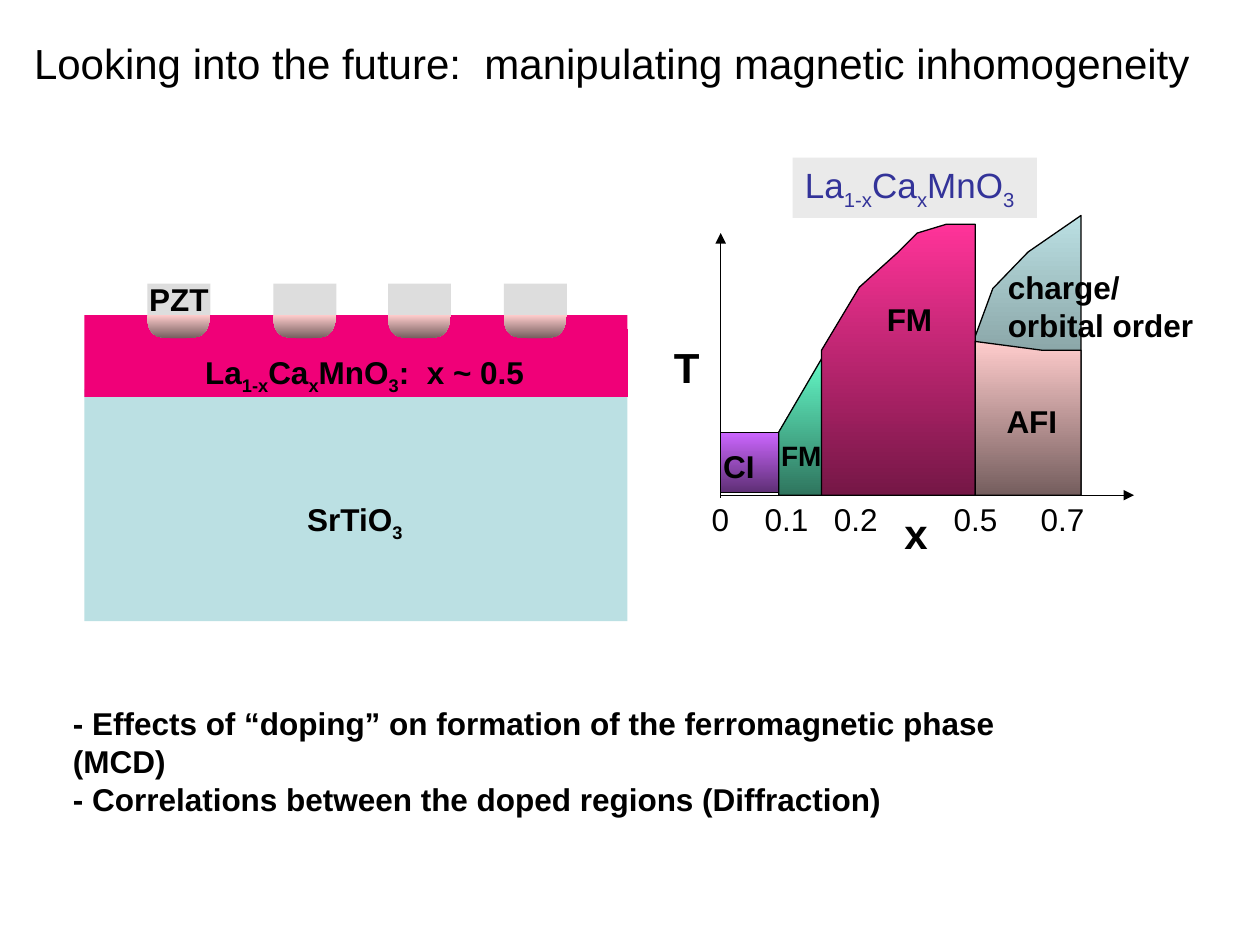
from lxml import etree
from pptx import Presentation
from pptx.dml.color import RGBColor
from pptx.enum.shapes import MSO_CONNECTOR, MSO_SHAPE
from pptx.enum.text import MSO_ANCHOR, PP_ALIGN
from pptx.oxml.ns import qn
from pptx.util import Inches, Pt

STRAIGHT = MSO_CONNECTOR.STRAIGHT
RECTANGLE = MSO_SHAPE.RECTANGLE
TOP, MIDDLE = MSO_ANCHOR.TOP, MSO_ANCHOR.MIDDLE
LEFT, CENTER = PP_ALIGN.LEFT, PP_ALIGN.CENTER

COLORS = {
    "black": "000000", "formula": "333399", "formula_box": "EAEAEA",
    "substrate": "BBE0E3", "film": "F00078", "electrode": "DDDDDD",
}
GRADIENTS = {
    "CI": ("CC66FF", "5E2F75"), "FMI": ("66FFCC", "2F755E"),
    "order": ("BBE0E3", "566768"), "FM": ("FF3399", "751746"),
    "AFI": ("FFCCCC", "755E5E"),
}

TITLE = "Looking into the future:  manipulating magnetic inhomogeneity"
BASE = 3.93
REGIONS = [
    ("FMI", [(6.18, BASE), (6.56, BASE), (6.56, 2.78), (6.18, 3.43)],
     ["FMI"], (6.1, 3.43, 0.58, 0.37), 16),
    ("order", [(7.74, BASE), (7.74, 2.67), (7.88, 2.29), (8.16, 2),
               (8.58, 1.71), (8.58, BASE)],
     ["charge/", "orbital order"], (7.9, 2.08, 1.67, 0.7), 18),
    ("FM", [(6.52, BASE), (6.52, 2.78), (6.82, 2.28), (7.13, 2), (7.28, 1.85),
            (7.51, 1.78), (7.74, 1.78), (7.74, BASE)],
     ["FM"], (6.94, 2.33, 0.56, 0.4), 18),
    ("AFI", [(7.74, BASE), (7.74, 2.71), (8.27, 2.78), (8.58, 2.78), (8.58, BASE)],
     ["AFI"], (7.89, 3.14, 0.6, 0.4), 18),
]
AXES = [((5.72, 3.95), (5.72, 1.85)), ((5.72, BASE), (9, BASE))]
TICKS = [("0", 5.55, 0.34), ("0.1", 5.97, 0.55), ("0.2", 6.52, 0.55),
         ("0.5", 7.47, 0.55), ("0.7", 8.16, 0.55)]
AXIS_NAMES = [("x", (7.08, 3.98, 0.38, 0.5)), ("T", (5.25, 2.66, 0.4, 0.5))]
LAYERS = [("substrate", (0.67, 3.09, 4.31, 1.84)), ("film", (0.67, 2.5, 4.31, 0.65))]
LAYER_NAMES = [("La_1-x_Ca_x_MnO_3_:  x ~ 0.5", (1.53, 2.75, 2.73, 0.44)),
               ("SrTiO_3_", (2.34, 3.92, 0.96, 0.44))]
ELECTRODES = [(1.17, "PZT"), (2.17, ""), (3.08, ""), (4, "")]
DOPED_START = (0, 0)
DOPED_CURVES = [
    [(0, 0.07), (0.01, 0.14), (0.08, 0.17)],
    [(0.15, 0.19), (0.34, 0.19), (0.41, 0.17)],
    [(0.48, 0.14), (0.49, 0.07), (0.5, 0)],
]
GOALS = ["- Effects of “doping” on formation of the ferromagnetic phase (MCD)",
         "- Correlations between the doped regions (Diffraction)"]


def apply(target, values):
    for name, value in values.items():
        setattr(target, name, value)


def rgb(name):
    return RGBColor.from_string(COLORS[name])


def write(shape, lines, size, bold=True, color="black", align=LEFT, anchor=TOP, wrap=False):
    frame = shape.text_frame
    apply(frame, {"word_wrap": wrap, "vertical_anchor": anchor,
                  "margin_left": Inches(0.1), "margin_right": Inches(0.1),
                  "margin_top": Inches(0.05), "margin_bottom": Inches(0.05)})
    for index, line in enumerate(lines):
        paragraph = frame.add_paragraph() if index else frame.paragraphs[0]
        paragraph.alignment = align
        for part, words in enumerate(line.split("_")):
            if words:
                run = paragraph.add_run()
                run.text = words
                apply(run.font, {"name": "Arial", "size": Pt(size), "bold": bold})
                run.font.color.rgb = rgb(color)
                if part % 2:
                    run.font._element.set("baseline", "-25000")


def label(slide, lines, box, size, **style):
    write(slide.shapes.add_textbox(*map(Inches, box)), lines, size, **style)


def block(slide, box, color):
    rect = slide.shapes.add_shape(RECTANGLE, *map(Inches, box))
    rect.shadow.inherit = False
    rect.fill.solid()
    rect.fill.fore_color.rgb = rgb(color)
    rect.line.fill.background()
    return rect


def shade(shape, gradient, outlined=True):
    shape.shadow.inherit = False
    shape.fill.gradient()
    shape.fill.gradient_angle = 270
    for stop, color, position in zip(shape.fill.gradient_stops, GRADIENTS[gradient], (0, 1)):
        stop.color.rgb = RGBColor.from_string(color)
        stop.position = position
    if outlined:
        shape.line.color.rgb = rgb("black")
        shape.line.width = Pt(0.75)
    else:
        shape.line.fill.background()


def outline(slide, points):
    start, *rest = [(Inches(x), Inches(y)) for x, y in points]
    builder = slide.shapes.build_freeform(*start, scale=1.0)
    builder.add_line_segments(rest, close=True)
    return builder.convert_to_shape()


def straight(slide, start, end, color, arrow=False):
    line = slide.shapes.add_connector(STRAIGHT, *map(Inches, start + end))
    line.line.color.rgb = rgb(color)
    line.line.width = Pt(0.75)
    if arrow:
        etree.SubElement(line.line._get_or_add_ln(), qn("a:tailEnd"), type="triangle")
    etree.SubElement(line._element.spPr, qn("a:effectLst"))


def curve_points(start, curves, steps=8):
    points = [start]
    for a, b, end in curves:
        origin = points[-1]
        for step in range(1, steps + 1):
            t = step / steps
            weights = ((1 - t) ** 3, 3 * t * (1 - t) ** 2, 3 * t * t * (1 - t), t ** 3)
            points.append(tuple(sum(w * p[axis] for w, p in zip(weights, (origin, a, b, end)))
                                for axis in (0, 1)))
    return points


def draw_phase_diagram(slide):
    for start, end in AXES:
        straight(slide, start, end, "black", arrow=True)
    insulator = slide.shapes.add_shape(RECTANGLE, *map(Inches, (5.72, 3.43, 0.46, 0.48)))
    shade(insulator, "CI")
    label(slide, ["CI"], (5.64, 3.5, 0.45, 0.4), 18)
    for gradient, points, lines, box, size in REGIONS:
        shade(outline(slide, points), gradient)
        label(slide, lines, box, size)
    for tick, left, width in TICKS:
        label(slide, [tick], (left, 3.92, width, 0.4), 18, bold=False)
    for name, box in AXIS_NAMES:
        label(slide, [name], box, 24)
    formula = block(slide, (6.29, 1.25, 1.94, 0.48), "formula_box")
    write(formula, ["La_1-x_Ca_x_MnO_3_"], 20, bold=False, color="formula")


def draw_film_stack(slide):
    for color, box in LAYERS:
        block(slide, box, color)
    straight(slide, (4.98, 2.61), (4.98, 3.15), "film")
    for name, box in LAYER_NAMES:
        label(slide, [name], box, 18)
    doped = curve_points(DOPED_START, DOPED_CURVES)
    for left, name in ELECTRODES:
        electrode = block(slide, (left, 2.25, 0.5, 0.25), "electrode")
        if name:
            write(electrode, [name], 18, align=CENTER, anchor=MIDDLE)
        shade(outline(slide, [(left + x, 2.5 + y) for x, y in doped]), "AFI", outlined=False)


def main():
    deck = Presentation()
    apply(deck, {"slide_width": Inches(10), "slide_height": Inches(7.5)})
    slide = deck.slides.add_slide(deck.slide_layouts[5])
    title = slide.shapes.title
    apply(title, {"left": Inches(0.17), "top": Inches(0.25),
                  "width": Inches(9.5), "height": Inches(0.5)})
    write(title, [TITLE], 24, bold=False, wrap=True)
    draw_phase_diagram(slide)
    draw_film_stack(slide)
    label(slide, GOALS, (0.48, 5.54, 8.32, 0.7), 18)
    deck.save("out.pptx")


if __name__ == "__main__":
    main()
